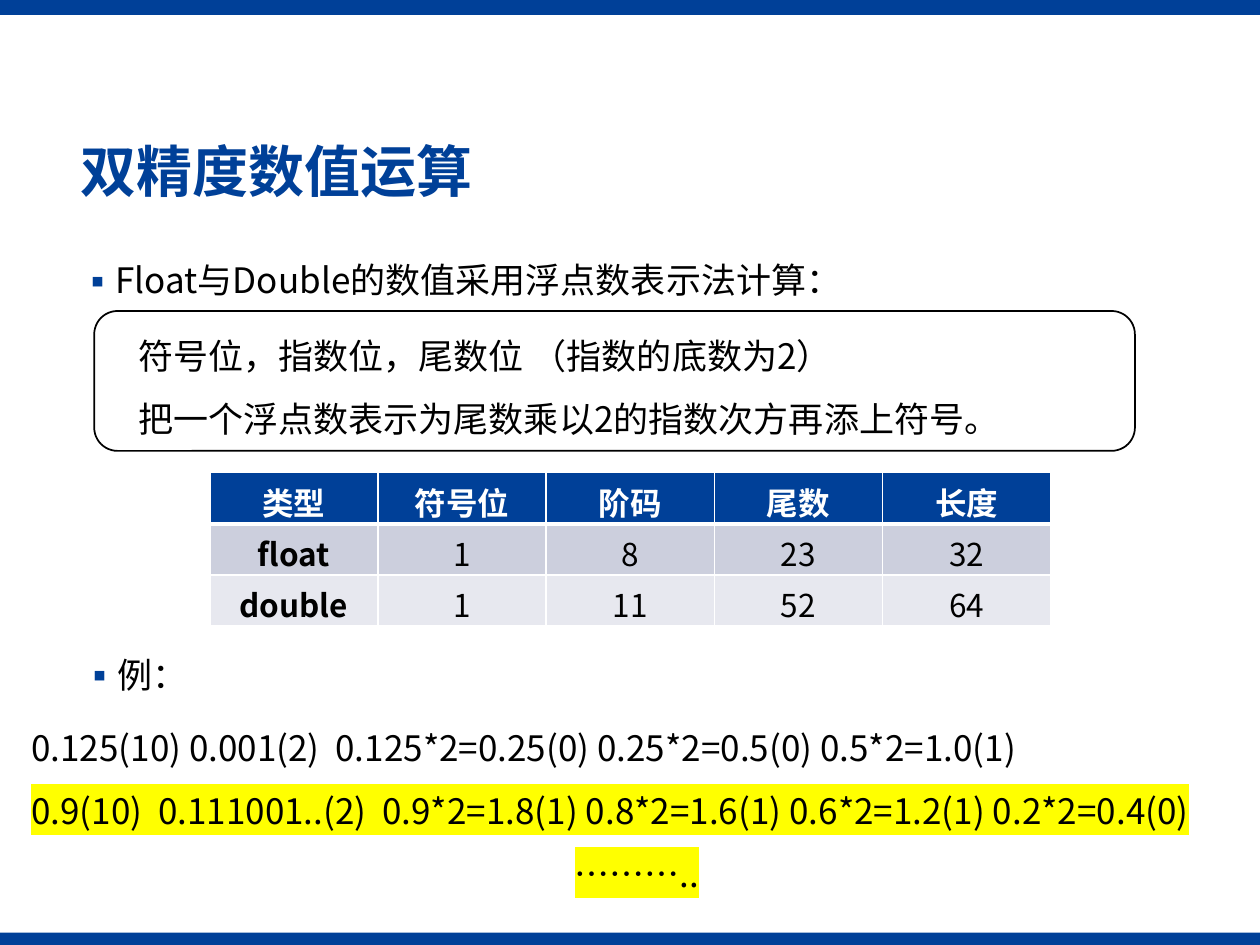
from lxml import etree
from pptx import Presentation
from pptx import util as u
from pptx.dml.color import RGBColor
from pptx.enum import shapes, text
from pptx.oxml import ns

COLORS = {
    "brand": "004098",
    "ink": "000000",
    "paper": "FFFFFF",
    "row_dark": "CCCFDD",
    "row_light": "E7E8EF",
    "marker": "FFFF00",
}
FONT = "Noto Sans CJK SC"
WIDTH, HEIGHT = 25.4, 19.05


def rgb(name):
    return RGBColor.from_string(COLORS[name])


def add_xml(parent, tag, **attributes):
    return etree.SubElement(parent, ns.qn(tag), attributes)


def add_bullet(paragraph):
    """Hang a small coloured square in front of the paragraph."""
    props = paragraph._p.get_or_add_pPr()
    indent = u.Cm(0.64)
    props.set("marL", str(indent))
    props.set("indent", str(-indent))
    add_xml(add_xml(props, "a:buClr"), "a:srgbClr", val=COLORS["brand"])
    add_xml(props, "a:buFont", typeface=FONT)
    add_xml(props, "a:buChar", char="▪")


def write(paragraph, content, size=20, color="ink", bold=False, highlight=None,
          align=text.PP_ALIGN.LEFT, spacing=1.0, before=0, bullet=False):
    paragraph.alignment = align
    paragraph.line_spacing = spacing
    paragraph.space_before = u.Pt(before)
    if bullet:
        add_bullet(paragraph)
    run = paragraph.add_run()
    run.text = content
    font = run.font
    font.size, font.bold, font.name = u.Pt(size), bold, FONT
    font.color.rgb = rgb(color)
    props = run._r.get_or_add_rPr()
    add_xml(props, "a:ea", typeface=FONT)
    if highlight:
        mark = add_xml(props, "a:highlight")
        add_xml(mark, "a:srgbClr", val=COLORS[highlight])
        props.find(ns.qn("a:solidFill")).addnext(mark)


def set_borders(cell, widths):
    """Draw white cell borders; widths maps the sides L, R, T, B to points."""
    props = cell._tc.get_or_add_tcPr()
    for position, side in enumerate("LRTB"):
        border = add_xml(props, f"a:ln{side}", w=str(u.Pt(widths[side])))
        fill = add_xml(border, "a:solidFill")
        add_xml(fill, "a:srgbClr", val=COLORS["paper"])
        props.insert(position, border)


class SlideBuilder:
    def __init__(self, slide):
        self.slide = slide

    def box(self, kind, left, top, width, height, fill, line=None):
        shape = self.slide.shapes.add_shape(
            kind, u.Cm(left), u.Cm(top), u.Cm(width), u.Cm(height))
        shape.shadow.inherit = False
        shape.fill.solid()
        shape.fill.fore_color.rgb = rgb(fill)
        if line:
            shape.line.color.rgb = rgb(line)
            shape.line.width = u.Pt(1)
        else:
            shape.line.fill.background()

    def text(self, left, top, width, height, lines,
             anchor=text.MSO_ANCHOR.TOP, **style):
        """Each line is a pair: its wording and the format only it has."""
        frame = self.slide.shapes.add_textbox(
            u.Cm(left), u.Cm(top), u.Cm(width), u.Cm(height)).text_frame
        frame.word_wrap = True
        frame.vertical_anchor = anchor
        for index, (content, extra) in enumerate(lines):
            paragraph = frame.add_paragraph() if index else frame.paragraphs[0]
            write(paragraph, content, **{**style, **extra})

    def bullet(self, left, top, content):
        self.text(left, top, 22.86, 1.6, [(content, {})],
                  spacing=1.5, before=10, bullet=True)

    def table(self, left, top, column_width, row_height, rows):
        grid = self.slide.shapes.add_table(
            len(rows), len(rows[0]), u.Cm(left), u.Cm(top),
            u.Cm(column_width * len(rows[0])),
            u.Cm(row_height * len(rows))).table
        fills = ["brand", "row_dark", "row_light"]
        for r, row in enumerate(rows):
            grid.rows[r].height = u.Cm(row_height)
            for c, value in enumerate(row):
                cell = grid.cell(r, c)
                cell.fill.solid()
                cell.fill.fore_color.rgb = rgb(fills[r])
                set_borders(cell, {"L": 1, "R": 1, "T": 3 if r == 1 else 1,
                                   "B": 3 if r == 0 else 1})
                write(cell.text_frame.paragraphs[0], value, size=18,
                      color="ink" if r else "paper", bold=r == 0 or c == 0,
                      align=text.PP_ALIGN.CENTER)


def main():
    deck = Presentation()
    deck.slide_width, deck.slide_height = u.Cm(WIDTH), u.Cm(HEIGHT)
    page = SlideBuilder(deck.slides.add_slide(deck.slide_layouts[6]))

    bar = shapes.MSO_SHAPE.RECTANGLE
    page.box(bar, 0, HEIGHT - 0.25, WIDTH, 0.25, "brand")
    page.box(bar, 0, 0, WIDTH, 0.3, "brand")

    page.text(1.37, 2.72, 23.27, 1.6, [("双精度数值运算", {})],
              anchor=text.MSO_ANCHOR.MIDDLE, size=32, color="brand",
              bold=True, spacing=0.9)
    page.bullet(1.37, 4.67, "Float与Double的数值采用浮点数表示法计算：")

    page.box(shapes.MSO_SHAPE.ROUNDED_RECTANGLE, 1.9, 6.27, 20.98, 2.82,
             "paper", line="ink")
    page.text(2.54, 6.2, 20.98, 3.68, [
        ("符号位，指数位，尾数位 （指数的底数为2）", {}),
        ("把一个浮点数表示为尾数乘以2的指数次方再添上符号。", {}),
    ], spacing=1.5)

    page.table(4.23, 9.53, 3.39, 1.03, [
        ["类型", "符号位", "阶码", "尾数", "长度"],
        ["float", "1", "8", "23", "32"],
        ["double", "1", "11", "52", "64"],
    ])

    page.bullet(1.42, 12.62, "例：")
    page.text(0.38, 14.1, 24.92, 4.95, [
        ("0.125(10) 0.001(2)  0.125*2=0.25(0) 0.25*2=0.5(0) 0.5*2=1.0(1)", {}),
        ("0.9(10)  0.111001..(2)  0.9*2=1.8(1) 0.8*2=1.6(1) 0.6*2=1.2(1) "
         "0.2*2=0.4(0)", {"highlight": "marker"}),
        ("………..", {"highlight": "marker", "align": text.PP_ALIGN.CENTER}),
    ], spacing=1.5)

    deck.save("out.pptx")


if __name__ == "__main__":
    main()
